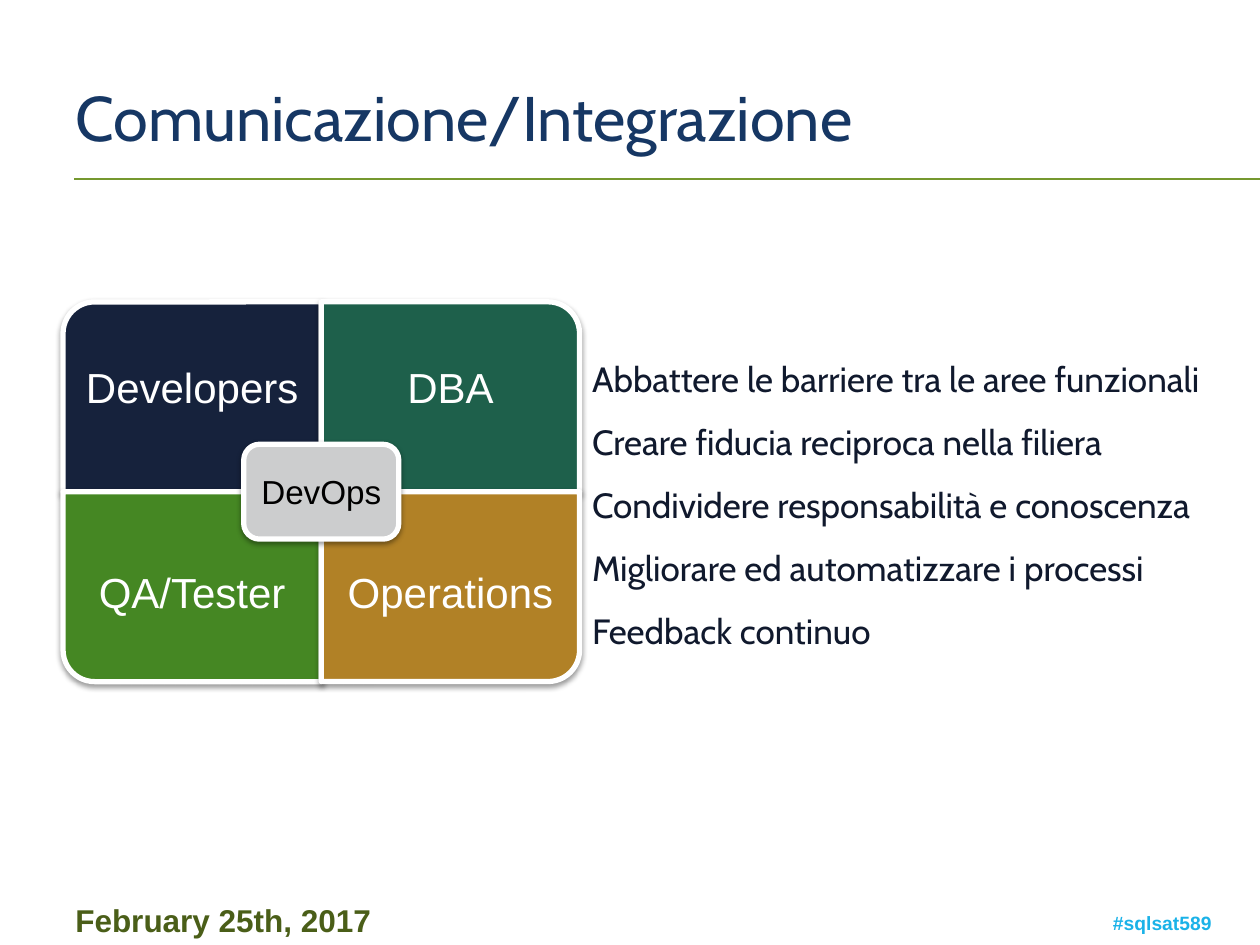
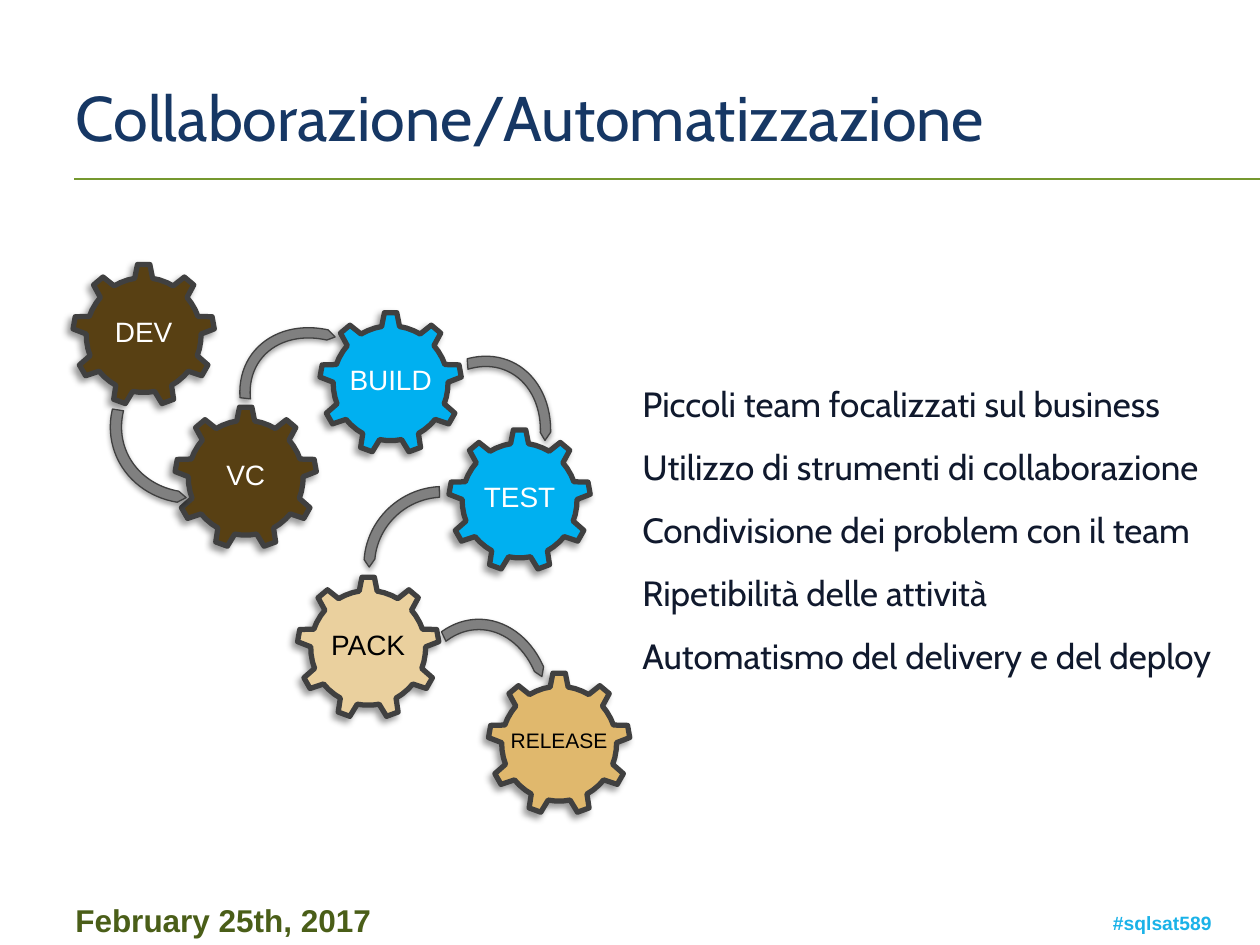
from math import cos, radians, sin

from lxml import etree
from pptx import Presentation
from pptx.dml.color import RGBColor
from pptx.enum.shapes import MSO_CONNECTOR, MSO_SHAPE
from pptx.enum.text import MSO_ANCHOR, MSO_AUTO_SIZE, PP_ALIGN
from pptx.oxml.ns import qn
from pptx.util import Pt

LEFT, CENTER = PP_ALIGN.LEFT, PP_ALIGN.CENTER
TOP, MIDDLE = MSO_ANCHOR.TOP, MSO_ANCHOR.MIDDLE
ROUND_CORNER = MSO_SHAPE.ROUND_1_RECTANGLE
ROUNDED = MSO_SHAPE.ROUNDED_RECTANGLE
CURVED_ARROW = MSO_SHAPE.CIRCULAR_ARROW
STRAIGHT = MSO_CONNECTOR.STRAIGHT

COLORS = {
    "title": "163764", "rule": "75982F", "date": "4A5E18", "hashtag": "1AB2E8",
    "body": "10192D", "white": "FFFFFF", "black": "000000", "navy": "16223C",
    "teal": "1E604B", "green": "458723", "ochre": "B18126", "silver": "CCCDCE",
    "brown": "584013", "sky": "00B0F0", "sand": "EAD09E", "gold": "E0B86D",
    "outline": "404040", "arrow": "808080",
}
HEADING_FONT, LABEL_FONT = "Cabin", "Arial"
DEFAULT_INSETS = (7.2, 3.6, 7.2, 3.6)
NO_INSETS = (0, 0, 0, 0)

# Shadows: opacity in percent, blur and distance in points, direction in degrees
TILE_SHADOW = (38, 3.1, 1.6, 90)
GEAR_SHADOW = (40, 4, 3, 135)
ARROW_SHADOW = (35, 3.1, 1.8, 90)

TEETH, TIP_RADIUS, ROOT_RADIUS = 9, 40.5, 32.8
TOOTH_OUTLINE = [(-9, ROOT_RADIUS), (-5, TIP_RADIUS), (5, TIP_RADIUS),
                 (9, ROOT_RADIUS), (16, ROOT_RADIUS), (24, ROOT_RADIUS)]


def color(name):
    return RGBColor.from_string(COLORS[name])


def add_effects(shape):
    return etree.SubElement(shape._element.spPr, qn("a:effectLst"))


class Deck:
    """Holds the presentation, its style and the slide being built."""

    def __init__(self):
        self.presentation = Presentation()
        self.presentation.slide_width = Pt(720)
        self.presentation.slide_height = Pt(540)
        self.slide = None

    def new_slide(self, title):
        layout = self.presentation.slide_layouts[5]
        self.slide = self.presentation.slides.add_slide(layout)
        self.text((597.6, 517, 133.2, 20.9), ["#sqlsat589"], 11, "hashtag",
                  bold=True, align=CENTER)
        self.text((36, 511.2, 185, 28.8), ["February 25th, 2017"], 18, "date",
                  bold=True, wrap=False)
        self.rule(42.5, 726.5, 102.2)
        shape = self.slide.shapes.title
        shape.left, shape.top, shape.width, shape.height = map(
            Pt, (36, 21.6, 648, 90))
        self.set_text(shape, [title], 36, "title", font=HEADING_FONT,
                      anchor=MIDDLE)

    def set_text(self, shape, lines, size, ink, font=LABEL_FONT, bold=False,
                 align=LEFT, anchor=TOP, insets=DEFAULT_INSETS, spacing=1.0,
                 wrap=True):
        frame = shape.text_frame
        frame.text = "\n".join(lines)
        frame.auto_size = MSO_AUTO_SIZE.NONE
        frame.word_wrap = wrap
        frame.vertical_anchor = anchor
        (frame.margin_left, frame.margin_top,
         frame.margin_right, frame.margin_bottom) = map(Pt, insets)
        for paragraph in frame.paragraphs:
            paragraph.alignment = align
            paragraph.line_spacing = spacing
            for run in paragraph.runs:
                run.font.name = font
                run.font.size = Pt(size)
                run.font.bold = bold
                run.font.color.rgb = color(ink)

    def text(self, box, lines, size, ink, **style):
        shape = self.slide.shapes.add_textbox(*map(Pt, box))
        self.set_text(shape, lines, size, ink, **style)

    def statements(self, left, top, lines):
        self.text((left, top, 464.4, 186), lines, 20, "body",
                  font=HEADING_FONT, spacing=1.5)

    def rule(self, start, end, y):
        line = self.slide.shapes.add_connector(
            STRAIGHT, Pt(start), Pt(y), Pt(end), Pt(y))
        line.line.color.rgb = color("rule")
        line.line.width = Pt(1)
        add_effects(line)

    def paint(self, shape, fill, line, width, shadow):
        shape.fill.solid()
        shape.fill.fore_color.rgb = color(fill)
        shape.line.color.rgb = color(line)
        shape.line.width = Pt(width)
        opacity, blur, distance, direction = shadow
        outer = etree.SubElement(
            add_effects(shape), qn("a:outerShdw"), blurRad=str(Pt(blur)),
            dist=str(Pt(distance)), dir=str(direction * 60000), rotWithShape="0")
        tint = etree.SubElement(outer, qn("a:srgbClr"), val=COLORS["black"])
        etree.SubElement(tint, qn("a:alpha"), val=str(opacity * 1000))

    def tile(self, kind, box, fill, rotation=0):
        """Draw a white-edged tile that fills the box after its rotation."""
        left, top, width, height = box
        if rotation % 180:
            left += (width - height) / 2
            top += (height - width) / 2
            width, height = height, width
        shape = self.slide.shapes.add_shape(
            kind, Pt(left), Pt(top), Pt(width), Pt(height))
        shape.rotation = rotation
        self.paint(shape, fill, "white", 3, TILE_SHADOW)
        return shape

    def gear(self, x, y, label, fill, ink, size=16):
        points = []
        for tooth in range(TEETH):
            for offset, radius in TOOTH_OUTLINE:
                angle = radians(tooth * 360 / TEETH + offset)
                points.append((Pt(x + radius * sin(angle)),
                               Pt(y - radius * cos(angle))))
        builder = self.slide.shapes.build_freeform(*points[0])
        builder.add_line_segments(points[1:], close=True)
        shape = builder.convert_to_shape()
        self.paint(shape, fill, "outline", 3, GEAR_SHADOW)
        self.set_text(shape, [label], size, ink, align=CENTER, anchor=MIDDLE,
                      insets=(0, 0, 0, 3), wrap=False)

    def curved_arrow(self, box, rotation, flipped=False, start=198.426):
        shape = self.slide.shapes.add_shape(CURVED_ARROW, *map(Pt, box))
        for index, value in enumerate((0.114, 3.764, 33.494, start, 0.035)):
            shape.adjustments[index] = value
        shape.rotation = rotation
        if flipped:
            shape._element.spPr.xfrm.set("flipH", "1")
        self.paint(shape, "arrow", "outline", 0.75, ARROW_SHADOW)


def build_communication(deck):
    deck.new_slide("Comunicazione/Integrazione")
    left, top, width, height = 36, 172.5, 147.6, 108.5
    label_height = 81.4
    quadrants = [("Developers", "navy", 270), ("DBA", "teal", 0),
                 ("QA/Tester", "green", 180), ("Operations", "ochre", 90)]
    for index, (label, fill, rotation) in enumerate(quadrants):
        row, column = divmod(index, 2)
        x, y = left + column * width, top + row * height
        deck.tile(ROUND_CORNER, (x, y, width, height), fill, rotation)
        label_top = y + row * (height - label_height)
        insets = (0, 0, 0, 21) if row else (0, 15, 0, 0)
        deck.text((x, label_top, width, label_height), [label], 24, "white",
                  align=CENTER, anchor=MIDDLE, insets=insets)
    hub_width, hub_height = 88.6, 54.2
    hub = deck.tile(ROUNDED, (left + width - hub_width / 2,
                              top + height - hub_height / 2,
                              hub_width, hub_height), "silver")
    deck.set_text(hub, ["DevOps"], 19, "black", align=CENTER, anchor=MIDDLE,
                  insets=NO_INSETS)
    deck.statements(331.2, 188.6, [
        "Abbattere le barriere tra le aree funzionali",
        "Creare fiducia reciproca nella filiera",
        "Condividere responsabilità e conoscenza",
        "Migliorare ed automatizzare i processi",
        "Feedback continuo",
    ])


def build_collaboration(deck):
    deck.new_slide("Collaborazione/Automatizzazione")
    deck.gear(82.1, 191.5, "DEV", "brown", "white")
    deck.gear(140.4, 273, "VC", "brown", "white")
    deck.gear(223.2, 219, "BUILD", "sky", "white")
    deck.gear(296.9, 286, "TEST", "sky", "white")
    deck.gear(210.4, 370.2, "PACK", "sand", "black")
    deck.gear(319.5, 425, "RELEASE", "gold", "black", size=12)
    deck.curved_arrow((221.8, 363.6, 103.7, 84.2), 270, start=200.672)
    deck.curved_arrow((218.9, 211.7, 103.7, 84.2), 294.9)
    deck.curved_arrow((62.6, 195.8, 99.4, 91.4), 339.9, flipped=True)
    deck.curved_arrow((133.9, 190.8, 103.7, 84.2), 216)
    deck.curved_arrow((208.8, 277.2, 87.1, 89.3), 59, flipped=True)
    deck.statements(360, 203, [
        "Piccoli team focalizzati sul business",
        "Utilizzo di strumenti di collaborazione",
        "Condivisione dei problem con il team",
        "Ripetibilità delle attività",
        "Automatismo del delivery e del deploy",
    ])


def main():
    deck = Deck()
    build_communication(deck)
    build_collaboration(deck)
    deck.presentation.save("out.pptx")


if __name__ == "__main__":
    main()
